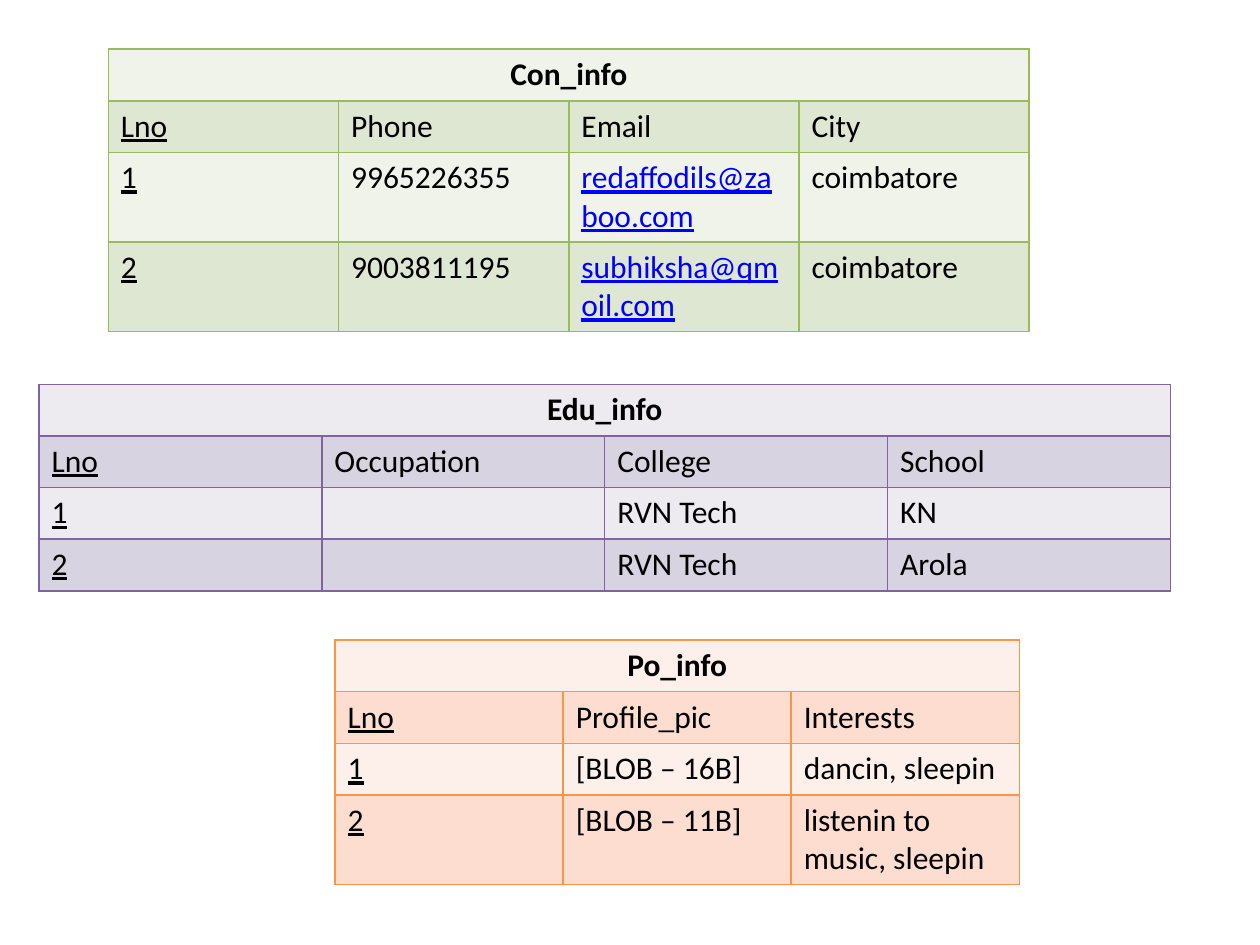
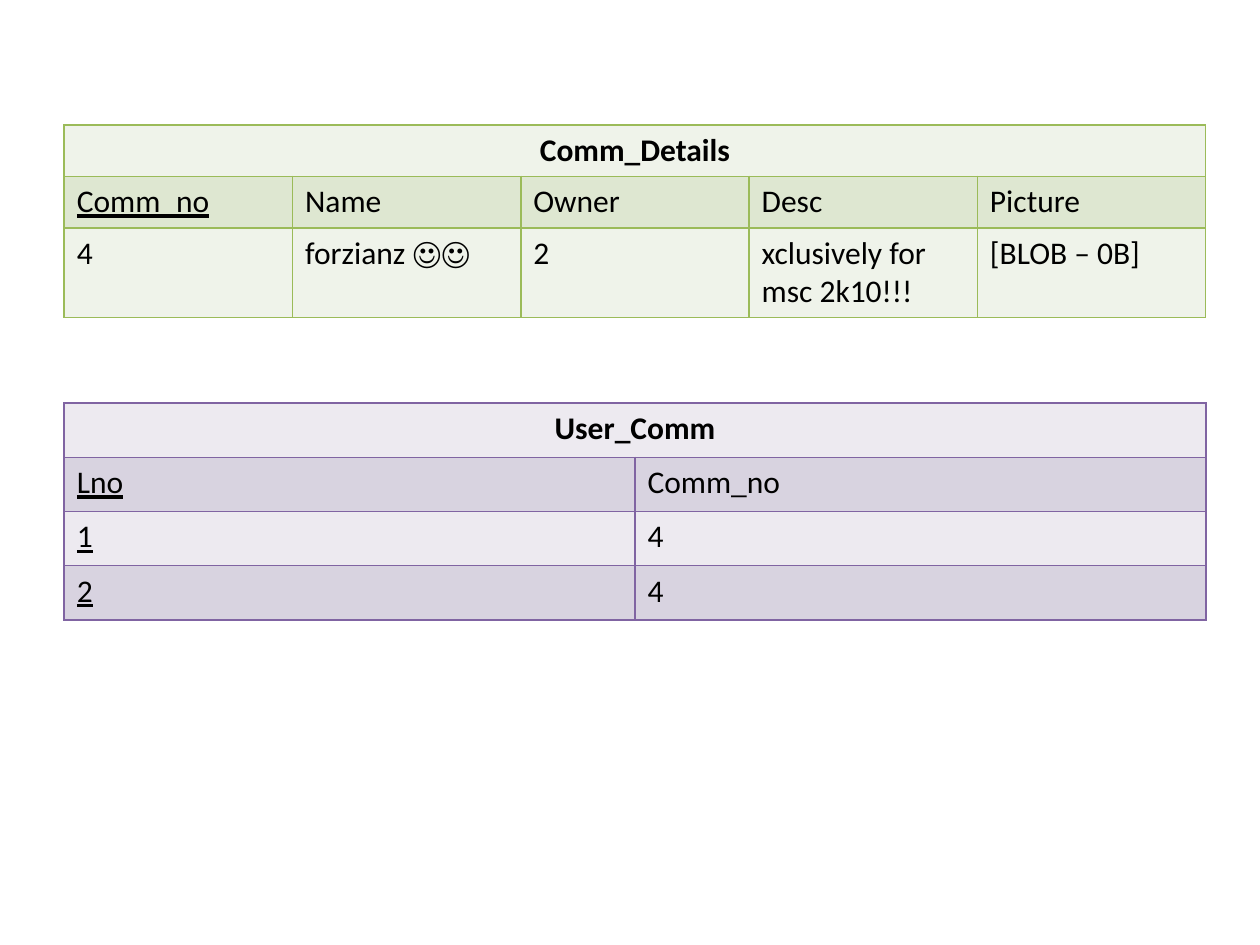
"""Build two slides of banded database tables."""
import pptx
import pptx.util
import pptx.dml.color
import pptx.enum.text
import pptx.oxml
import pptx.oxml.ns

Inches = pptx.util.Inches
Pt = pptx.util.Pt
ALIGN = pptx.enum.text.PP_ALIGN

FONT = "Calibri"
BLACK = "000000"
LINK = "0000FF"
GREEN = {"line": "9BBB59", "bands": ("EFF3EA", "DEE7D1")}
PURPLE = {"line": "8064A2", "bands": ("EDEAF0", "D8D3E0")}
ORANGE = {"line": "F79646", "bands": ("FDEFE9", "FCDDCF")}
ONE_LINE = 0.41
TWO_LINES = 0.71

SLIDES = [
    [
        {
            "title": "Edu_info", "theme": PURPLE, "at": (0.31, 3.05), "width": 8.98,
            "heights": [ONE_LINE] * 4, "key_rows": (1, 2, 3),
            "rows": [
                ["Lno", "Occupation", "College", "School"],
                ["1", "", "RVN Tech", "KN"],
                ["2", "", "RVN Tech", "Arola"],
            ],
        },
        {
            "title": "Po_info", "theme": ORANGE, "at": (2.66, 5.08), "width": 5.43,
            "heights": [ONE_LINE] * 3 + [TWO_LINES], "key_rows": (1, 2, 3),
            "rows": [
                ["Lno", "Profile_pic", "Interests"],
                ["1", "[BLOB – 16B]", "dancin, sleepin"],
                ["2", "[BLOB – 11B]", "listenin to music, sleepin"],
            ],
        },
        {
            "title": "Con_info", "theme": GREEN, "at": (0.86, 0.39), "width": 7.31,
            "heights": [ONE_LINE] * 2 + [TWO_LINES] * 2, "key_rows": (1, 2, 3),
            "rows": [
                ["Lno", "Phone", "Email", "City"],
                ["1", "9965226355", "redaffodils@zaboo.com", "coimbatore"],
                ["2", "9003811195", "subhiksha@qmoil.com", "coimbatore"],
            ],
        },
    ],
    [
        {
            "title": "Comm_Details", "theme": GREEN, "at": (0.51, 0.99), "width": 9.06,
            "heights": [ONE_LINE] * 2 + [TWO_LINES], "key_rows": (1,),
            "rows": [
                ["Comm_no", "Name", "Owner", "Desc", "Picture"],
                ["4", "forzianz ☺☺", "2", "xclusively for msc 2k10!!!", "[BLOB – 0B]"],
            ],
        },
        {
            "title": "User_Comm", "theme": PURPLE, "at": (0.51, 3.2), "width": 9.06,
            "heights": [0.43] * 4, "key_rows": (1, 2, 3),
            "rows": [["Lno", "Comm_no"], ["1", "4"], ["2", "4"]],
        },
    ],
]


def write_text(cell, text, color=BLACK, bold=False, underline=False, align=ALIGN.LEFT):
    paragraph = cell.text_frame.paragraphs[0]
    paragraph.alignment = align
    paragraph.font.size = Pt(18)
    if text:
        run = paragraph.add_run()
        run.text = text
        run.font.name = FONT
        run.font.size = Pt(18)
        run.font.bold = bold
        run.font.underline = underline
        run.font.color.rgb = pptx.dml.color.RGBColor.from_string(color)


def style_cell(cell, fill, line):
    properties = cell._tc.get_or_add_tcPr()
    for side in ("lnL", "lnR", "lnT", "lnB"):
        properties.append(pptx.oxml.parse_xml(
            f'<a:{side} {pptx.oxml.ns.nsdecls("a")} w="{Pt(1)}">'
            f'<a:solidFill><a:srgbClr val="{line}"/></a:solidFill></a:{side}>'))
    cell.fill.solid()
    cell.fill.fore_color.rgb = pptx.dml.color.RGBColor.from_string(fill)


presentation = pptx.Presentation()
presentation.slide_width = Inches(10)
presentation.slide_height = Inches(7.5)

for tables in SLIDES:
    slide = presentation.slides.add_slide(presentation.slide_layouts[6])
    for details in tables:
        column_count = len(details["rows"][0])
        heights = details["heights"]
        left, top = details["at"]
        table = slide.shapes.add_table(
            len(heights), column_count, Inches(left), Inches(top),
            Inches(details["width"]), Inches(sum(heights))).table
        for row, height in zip(table.rows, heights):
            row.height = Inches(height)

        theme = details["theme"]
        for row_index in range(len(heights)):
            for column_index in range(column_count):
                style_cell(table.cell(row_index, column_index),
                           theme["bands"][row_index % 2], theme["line"])

        title_cell = table.cell(0, 0)
        title_cell.merge(table.cell(0, column_count - 1))
        write_text(title_cell, details["title"], bold=True, align=ALIGN.CENTER)
        for row_index, values in enumerate(details["rows"], start=1):
            for column_index, value in enumerate(values):
                is_email = "@" in value
                is_key = column_index == 0 and row_index in details["key_rows"]
                write_text(table.cell(row_index, column_index), value,
                           color=LINK if is_email else BLACK,
                           underline=is_email or is_key)

presentation.save("out.pptx")
